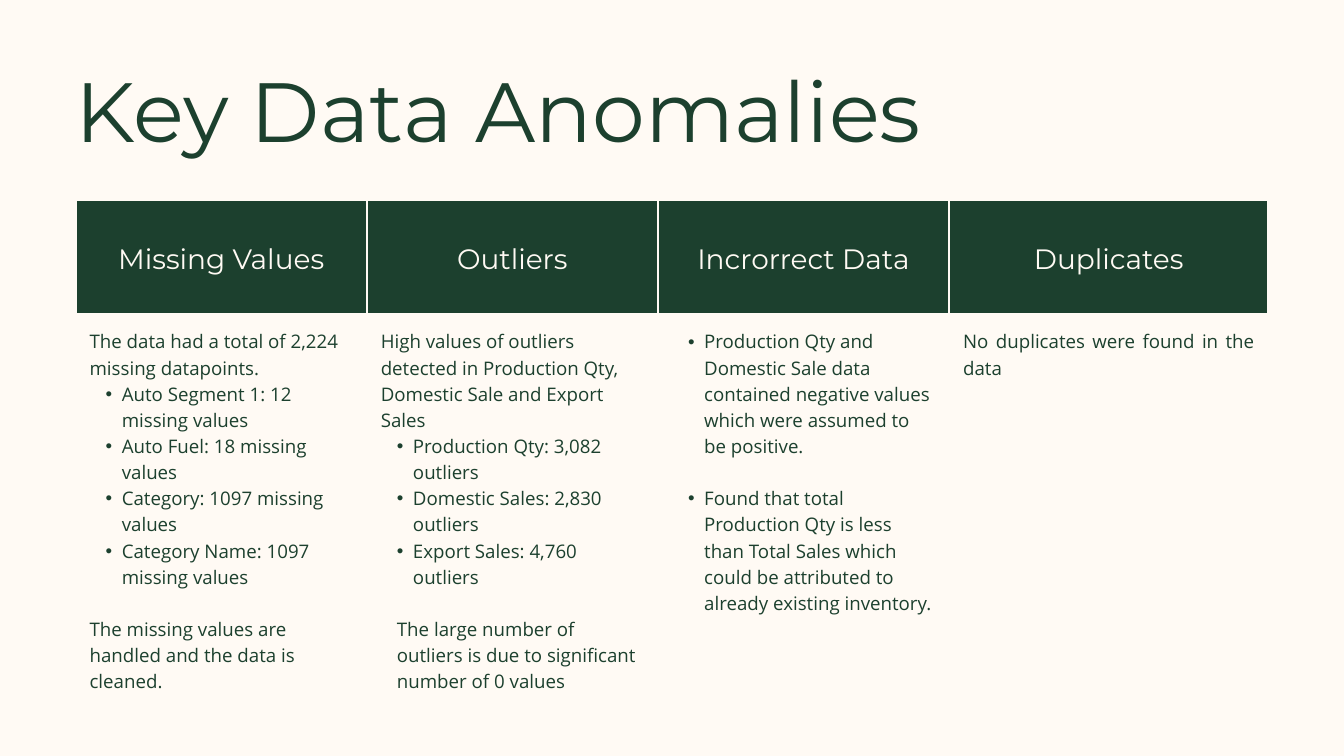
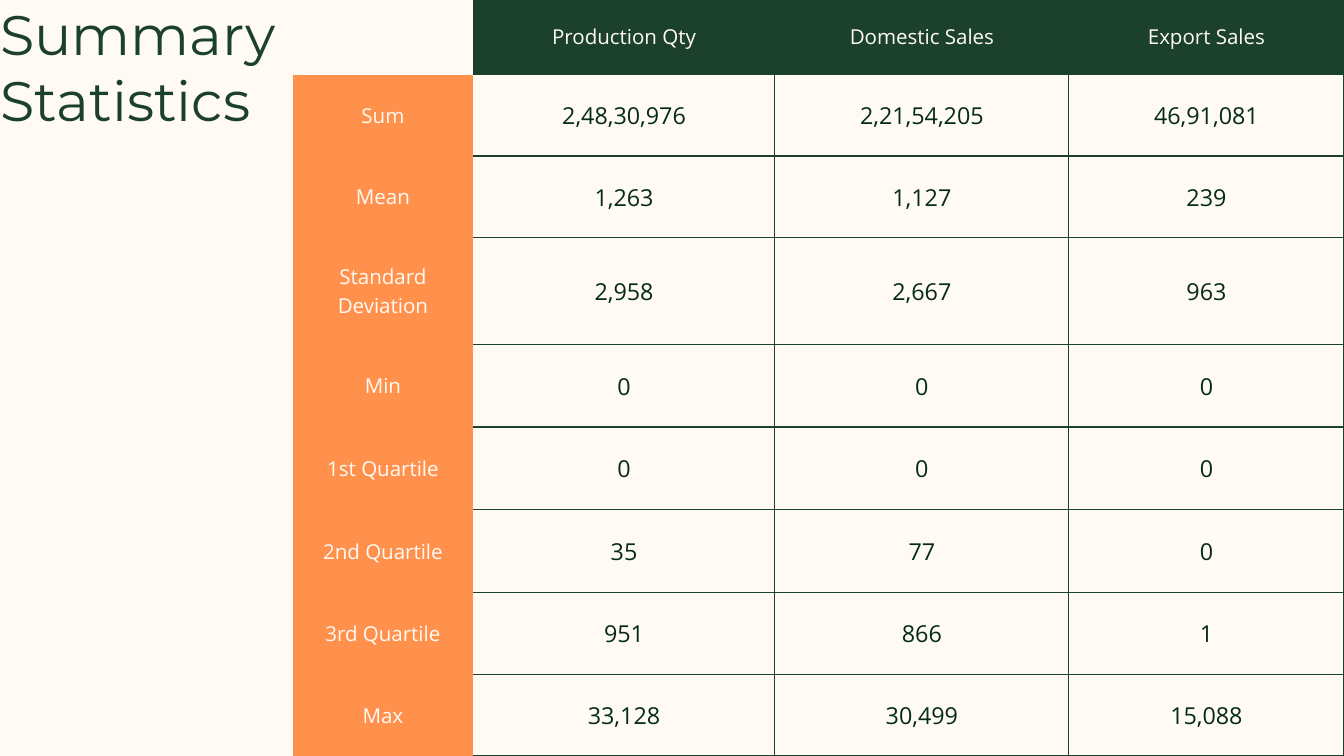
from dataclasses import dataclass, replace
from typing import NamedTuple, Optional

from lxml import etree
from pptx import Presentation
from pptx.dml.color import RGBColor
from pptx.enum.text import MSO_ANCHOR as ANCHOR, MSO_AUTO_SIZE as AUTOSIZE, PP_ALIGN as ALIGN
from pptx.oxml.ns import qn
from pptx.util import Emu, Pt

CREAM = RGBColor(0xFF, 0xFA, 0xF4)
GREEN = RGBColor(0x1C, 0x40, 0x2E)
DARK_GREEN = RGBColor(0x04, 0x2A, 0x19)
ORANGE = RGBColor(0xFF, 0x91, 0x4D)

HEADING_FONT = "Montserrat"
BODY_FONT = "Open Sans"

EMU_PER_PX = 9525
CELL_MARGIN = 20
INDENT = 23
SIDES = ("lnL", "lnR", "lnT", "lnB")


class Box(NamedTuple):
    left: int
    top: int
    width: int
    height: int


@dataclass(frozen=True)
class TextStyle:
    font: str
    size: float
    color: RGBColor
    line: float
    align: ALIGN = ALIGN.LEFT


@dataclass(frozen=True)
class Para:
    text: str
    indent: int = 0
    bullet: bool = False
    gap: bool = False


@dataclass(frozen=True)
class Border:
    color: RGBColor
    width: int
    hidden: tuple[str, ...] = ()


class Anomaly(NamedTuple):
    heading: str
    notes: list[Para]
    align: ALIGN = ALIGN.LEFT


COLUMN_HEADING = TextStyle(HEADING_FONT, 30, CREAM, 42, ALIGN.CENTER)
NOTE = TextStyle(BODY_FONT, 20, GREEN, 28)
LABEL = TextStyle(BODY_FONT, 22, CREAM, 30.8, ALIGN.CENTER)
VALUE = TextStyle(BODY_FONT, 25, DARK_GREEN, 35, ALIGN.CENTER)


def bullet(text: str, gap: bool = False) -> Para:
    return Para(text, 2 * INDENT, True, gap)


ANOMALIES = [
    Anomaly("Missing Values", [
        Para("The data had a total of 2,224 missing datapoints."),
        bullet("Auto Segment 1: 12 missing values"),
        bullet("Auto Fuel: 18 missing values"),
        bullet("Category: 1097 missing values"),
        bullet("Category Name: 1097 missing values"),
        Para("The missing values are handled and the data is cleaned.", gap=True),
    ]),
    Anomaly("Outliers", [
        Para("High values of outliers detected in Production Qty, "
             "Domestic Sale and Export Sales"),
        bullet("Production Qty: 3,082 outliers"),
        bullet("Domestic Sales: 2,830 outliers"),
        bullet("Export Sales: 4,760 outliers"),
        Para("The large number of outliers is due to significant number of 0 values",
             INDENT, gap=True),
    ]),
    Anomaly("Incrorrect Data", [
        bullet("Production Qty and Domestic Sale data contained negative values "
               "which were assumed to be positive."),
        bullet("Found that total Production Qty is less than Total Sales which "
               "could be attributed to already existing inventory.", gap=True),
    ]),
    Anomaly("Duplicates", [Para("No duplicates were found in the data")], ALIGN.JUSTIFY),
]

STATISTICS = [
    ("", "Production Qty", "Domestic Sales", "Export Sales"),
    ("Sum", "2,48,30,976", "2,21,54,205", "46,91,081"),
    ("Mean", "1,263", "1,127", "239"),
    ("Standard Deviation", "2,958", "2,667", "963"),
    ("Min", "0", "0", "0"),
    ("1st Quartile", "0", "0", "0"),
    ("2nd Quartile", "35", "77", "0"),
    ("3rd Quartile", "951", "866", "1"),
    ("Max", "33,128", "30,499", "15,088"),
]


def px(value: int) -> Emu:
    return Emu(value * EMU_PER_PX)


def write(tf, paras: list[Para], style: TextStyle) -> None:
    for i, para in enumerate(paras):
        p = tf.paragraphs[0] if i == 0 else tf.add_paragraph()
        p.text = para.text
        p.alignment = style.align
        p.line_spacing = Pt(style.line)
        p.space_before = Pt(style.line if para.gap else 0)
        for r in p.runs:
            r.font.name = style.font
            r.font.size = Pt(style.size)
            r.font.color.rgb = style.color
        if para.indent:
            p.level = 1
        pPr = p._p.get_or_add_pPr()
        pPr.set("marL", str(px(para.indent)))
        pPr.set("indent", str(px(-INDENT if para.bullet else 0)))
        if para.bullet:
            etree.SubElement(pPr, qn("a:buFont")).set("typeface", "Arial")
            etree.SubElement(pPr, qn("a:buChar")).set("char", "•")


def set_borders(cell, border: Border) -> None:
    tcPr = cell._tc.get_or_add_tcPr()
    for side in SIDES:
        ln = etree.SubElement(tcPr, qn(f"a:{side}"))
        if side in border.hidden:
            ln.set("w", "0")
            etree.SubElement(ln, qn("a:noFill"))
        else:
            ln.set("w", str(px(border.width)))
            fill = etree.SubElement(ln, qn("a:solidFill"))
            etree.SubElement(fill, qn("a:srgbClr")).set("val", str(border.color))


def fill_cell(cell, paras: list[Para], style: TextStyle, border: Border,
              fill: Optional[RGBColor] = None, anchor: ANCHOR = ANCHOR.MIDDLE) -> None:
    cell.margin_left = cell.margin_right = px(CELL_MARGIN)
    cell.margin_top = cell.margin_bottom = px(CELL_MARGIN)
    cell.vertical_anchor = anchor
    set_borders(cell, border)
    if fill is None:
        cell.fill.background()
    else:
        cell.fill.solid()
        cell.fill.fore_color.rgb = fill
    write(cell.text_frame, paras, style)


def add_plain_table(slide, left: int, top: int, widths: list[int], heights: list[int]):
    frame = slide.shapes.add_table(len(heights), len(widths), px(left), px(top),
                                   px(sum(widths)), px(sum(heights)))
    table = frame.table
    table.first_row = table.horz_banding = False
    for column, width in zip(table.columns, widths):
        column.width = px(width)
    for row, height in zip(table.rows, heights):
        row.height = px(height)
    return table


def add_titled_slide(prs, title: str, box: Box, size: float, line: float):
    slide = prs.slides.add_slide(prs.slide_layouts[5])
    slide.background.fill.solid()
    slide.background.fill.fore_color.rgb = CREAM
    sp = slide.shapes.title
    sp.left, sp.top, sp.width, sp.height = map(px, box)
    tf = sp.text_frame
    tf.word_wrap = True
    tf.auto_size = AUTOSIZE.SHAPE_TO_FIT_TEXT
    tf.vertical_anchor = ANCHOR.TOP
    tf.margin_left = tf.margin_right = tf.margin_top = tf.margin_bottom = 0
    write(tf, [Para(title)], TextStyle(HEADING_FONT, size, GREEN, line))
    return slide


def build_anomalies(prs) -> None:
    slide = add_titled_slide(prs, "Key Data Anomalies", Box(108, 84, 1317, 144), 90, 108)
    table = add_plain_table(slide, 108, 285, [416, 416, 416, 456], [164, 560])
    border = Border(CREAM, 4)
    for col, anomaly in enumerate(ANOMALIES):
        fill_cell(table.cell(0, col), [Para(anomaly.heading)], COLUMN_HEADING, border, GREEN)
        fill_cell(table.cell(1, col), anomaly.notes, replace(NOTE, align=anomaly.align),
                  border, anchor=ANCHOR.TOP)


def build_statistics(prs) -> None:
    slide = add_titled_slide(prs, "Summary Statistics", Box(0, -1, 484, 192), 59.6, 71.6)
    table = add_plain_table(slide, 418, -4, [258, 431, 420, 393],
                            [111, 116, 116, 153] + [118] * 4 + [116])
    for row, texts in enumerate(STATISTICS):
        for col, text in enumerate(texts):
            is_label = row == 0 or col == 0
            if is_label:
                hidden = SIDES
                fill = GREEN if row == 0 else ORANGE
            else:
                hidden = ("lnL",) * (col == 1) + ("lnT",) * (row == 1)
                fill = None
            fill_cell(table.cell(row, col), [Para(text)], LABEL if is_label else VALUE,
                      Border(GREEN, 2, hidden), fill if text else None)


def main() -> None:
    prs = Presentation()
    prs.slide_width, prs.slide_height = px(1920), px(1080)
    build_anomalies(prs)
    build_statistics(prs)
    prs.save("out.pptx")


if __name__ == "__main__":
    main()
